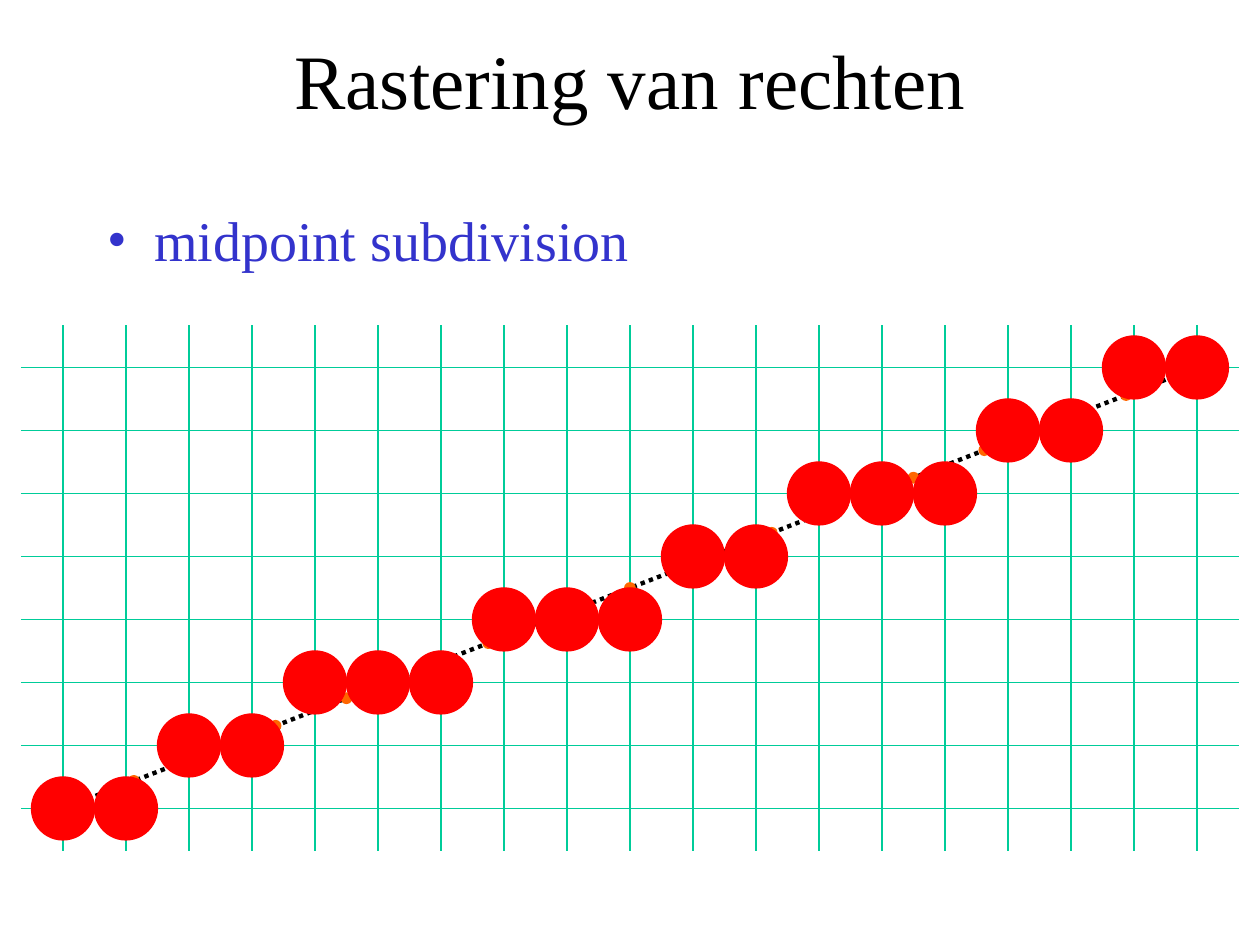
import lxml.etree
import pptx
import pptx.dml.color
import pptx.enum.dml
import pptx.enum.shapes
import pptx.enum.text
import pptx.oxml.ns
import pptx.util

PX = 7620
COLORS = {
    "title": "000000",
    "body": "3333CC",
    "grid": "00CC99",
    "line": "000000",
    "midpoint": "FF6600",
    "pixel": "FF0000",
}
FONT = "Times New Roman"
CELL = 60
MARGIN = 40
MIDPOINT_SIZE = 10
SUBDIVISIONS = 16
PIXEL_RUNS = [2, 2, 3, 3, 2, 3, 2, 2]
COLUMNS = sum(PIXEL_RUNS)
ROWS = len(PIXEL_RUNS)


def px(value):
    return pptx.util.Emu(round(value * PX))


def rgb(name):
    return pptx.dml.color.RGBColor.from_string(COLORS[name])


def sub(parent, tag, **attrs):
    return lxml.etree.SubElement(parent, pptx.oxml.ns.qn(tag), attrs)


def place(sp, box):
    sp.left, sp.top, sp.width, sp.height = (px(v) for v in box)


def write(sp, text, size, color, align, anchor, auto_size):
    tf = sp.text_frame
    tf.word_wrap = True
    tf.auto_size = auto_size
    tf.vertical_anchor = anchor
    p = tf.paragraphs[0]
    p.alignment = align
    r = p.add_run()
    r.text = text
    r.font.size = pptx.util.Pt(size)
    r.font.name = FONT
    r.font.color.rgb = rgb(color)
    return p


def add_line(shapes, x1, y1, x2, y2, color, width, dash=None):
    line = shapes.add_connector(
        pptx.enum.shapes.MSO_CONNECTOR.STRAIGHT, px(x1), px(y1), px(x2), px(y2))
    line.line.color.rgb = rgb(color)
    line.line.width = pptx.util.Pt(width)
    if dash:
        line.line.dash_style = dash
    sub(line._element.spPr, "a:effectLst")


def add_disc(shapes, x, y, size, color):
    sp = shapes.add_shape(
        pptx.enum.shapes.MSO_SHAPE.OVAL,
        px(x - size / 2), px(y - size / 2), px(size), px(size))
    sp.shadow.inherit = False
    sp.fill.solid()
    sp.fill.fore_color.rgb = rgb(color)
    sp.line.color.rgb = rgb(color)
    sp.line.width = pptx.util.Pt(0.75)


def fill_title(sp, box):
    place(sp, box)
    write(sp, "Rastering van rechten", size=44, color="title",
          align=pptx.enum.text.PP_ALIGN.CENTER,
          anchor=pptx.enum.text.MSO_ANCHOR.MIDDLE,
          auto_size=pptx.enum.text.MSO_AUTO_SIZE.NONE)


def fill_body(sp, box):
    place(sp, box)
    p = write(sp, "midpoint subdivision", size=32, color="body",
              align=pptx.enum.text.PP_ALIGN.LEFT,
              anchor=pptx.enum.text.MSO_ANCHOR.TOP,
              auto_size=pptx.enum.text.MSO_AUTO_SIZE.SHAPE_TO_FIT_TEXT)
    pPr = p._p.get_or_add_pPr()
    pPr.set("marL", str(px(45)))
    pPr.set("indent", str(px(-45)))
    sub(pPr, "a:buFont", typeface=FONT)
    sub(pPr, "a:buChar", char="•")


def draw_raster(slide, box):
    left, top, width, height = box
    x0, y0 = left + MARGIN, top + height - MARGIN
    run, rise = (COLUMNS - 1) * CELL, (ROWS - 1) * CELL

    grid = slide.shapes.add_group_shape().shapes
    for column in range(COLUMNS):
        x = x0 + column * CELL
        add_line(grid, x, top, x, top + height, "grid", 0.75)
    for row in range(ROWS):
        y = y0 - row * CELL
        add_line(grid, left, y, left + width, y, "grid", 0.75)

    add_line(slide.shapes, x0, y0, x0 + run, y0 - rise, "line", 2.5,
             pptx.enum.dml.MSO_LINE.ROUND_DOT)

    midpoints = slide.shapes.add_group_shape().shapes
    for step in range(1, SUBDIVISIONS):
        t = step / SUBDIVISIONS
        add_disc(midpoints, x0 + t * run, y0 - t * rise, MIDPOINT_SIZE, "midpoint")

    pixels = slide.shapes.add_group_shape().shapes
    rows = [row for row, count in enumerate(PIXEL_RUNS) for _ in range(count)]
    for column, row in enumerate(rows):
        add_disc(pixels, x0 + column * CELL, y0 - row * CELL, CELL, "pixel")


def main():
    prs = pptx.Presentation()
    prs.slide_width, prs.slide_height = px(1200), px(900)
    slide = prs.slides.add_slide(prs.slide_layouts[1])
    fill_title(slide.shapes.title, (90, 0, 1020, 150))
    fill_body(slide.placeholders[1], (90, 190, 1020, 76))
    draw_raster(slide, (20, 310, 1160, 500))
    prs.save("out.pptx")


if __name__ == "__main__":
    main()
